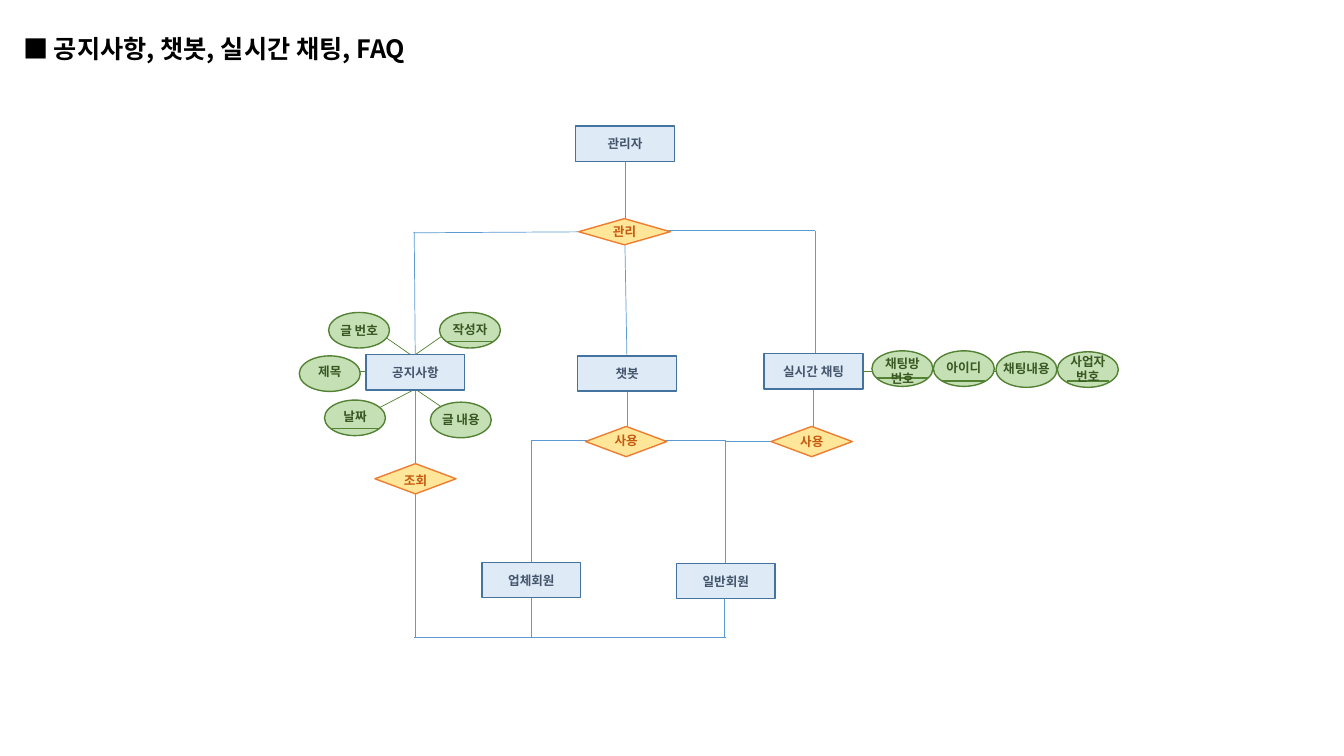
from dataclasses import dataclass

from lxml import etree
from pptx import Presentation
from pptx.dml.color import RGBColor
from pptx.enum.shapes import MSO_CONNECTOR, MSO_SHAPE
from pptx.enum.text import MSO_ANCHOR, PP_ALIGN
from pptx.oxml.ns import qn
from pptx.util import Pt

RECTANGLE, ELLIPSE, DIAMOND = MSO_SHAPE.RECTANGLE, MSO_SHAPE.OVAL, MSO_SHAPE.DIAMOND
STRAIGHT = MSO_CONNECTOR.STRAIGHT
MIDDLE = MSO_ANCHOR.MIDDLE
LEFT, CENTER = PP_ALIGN.LEFT, PP_ALIGN.CENTER
FONT = "Noto Sans CJK KR"
BLUE, GREEN = "5B9BD5", "548235"


@dataclass(frozen=True)
class Style:
    fill: str
    outline: str
    ink: str


ENTITY = Style("DEEBF7", "43739E", "44546A")
ATTRIBUTE = Style("C5E0B4", GREEN, "385723")
RELATION = Style("FFE699", "ED7D31", "C55A11")


@dataclass(frozen=True)
class Entity:
    text: str
    left: float
    top: float
    width: float = 70.6
    height: float = 25.2


@dataclass(frozen=True)
class Attribute:
    text: str
    left: float
    top: float
    label_shift: float = 0
    label_width: float = 58.3
    rule_width: float = 0
    rule_drop: float = 0
    width: float = 43.5
    height: float = 25.4


@dataclass(frozen=True)
class Relation:
    text: str
    left: float
    top: float
    label_shift: float = 0
    label_width: float = 32.4
    width: float = 58
    height: float = 21.6


@dataclass(frozen=True)
class Line:
    x1: float
    y1: float
    x2: float
    y2: float
    color: str = BLUE


ENTITIES = [
    Entity("관리자", 411.1, 90),
    Entity("공지사항", 261.4, 253.4),
    Entity("챗봇", 412.6, 254.2),
    Entity("실시간 채팅", 545.8, 252.7),
    Entity("업체회원", 344.2, 401.8),
    Entity("일반회원", 483.1, 402.5),
]
ATTRIBUTES = [
    Attribute("글 번호", 234.7, 223.2),
    Attribute("제목", 213.8, 254.2, -1.4),
    Attribute("글 내용", 307.4, 287.3, -0.7),
    Attribute("날짜", 231.8, 285.8, -1.4, rule_width=33, rule_drop=20.2),
    Attribute("작성자", 313.9, 223.2, -0.7, rule_width=33, rule_drop=20.9),
    Attribute("채팅방\n번호", 622.8, 250.6, 1.8, rule_width=36.7, rule_drop=19.4),
    Attribute("아이디", 666.7, 250.6, -0.7, rule_width=31, rule_drop=21.6),
    Attribute("채팅내용", 711.4, 251.3, -0.7, 90.7),
    Attribute("사업자\n번호", 755.3, 251.3, -0.4, 90.7, 30.2, 20.9),
]
RELATIONS = [
    Relation("관리", 413.3, 156.2, width=65.5, height=18.7),
    Relation("조회", 267.8, 331.2, 1.1),
    Relation("사용", 418.3, 304.6, -1.1),
    Relation("사용", 550.8, 304.6, -0.4),
]
LINES = [
    # Attributes to their entities
    Line(615.6, 265, 771.8, 265, GREEN),
    Line(296.6, 253.4, 316.1, 239.8, GREEN),
    Line(296.6, 277.9, 324, 296.6, GREEN),
    Line(257.8, 298.1, 296.6, 277.9, GREEN),
    Line(236.9, 265.7, 287.3, 265, GREEN),
    Line(268.6, 236.2, 294.5, 254.2, GREEN),
    # Administrator branch
    Line(446.4, 156.2, 446.4, 115.2),
    Line(582.5, 164.9, 455, 164.9),
    Line(582.5, 164.9, 582.5, 253.4),
    Line(295.9, 165.6, 296.6, 253.4),
    Line(295.2, 166.3, 413.3, 165.6),
    Line(447.8, 254.2, 446.4, 175),
    # Chatbot and live chat use
    Line(380.2, 314.6, 429.8, 314.6),
    Line(447.8, 279.4, 447.8, 319.7),
    Line(447.1, 314.6, 517.7, 314.6),
    Line(517.7, 315.4, 571.7, 315.4),
    Line(581, 277.9, 581, 314.6),
    Line(379.4, 314.6, 379.4, 385.9),
    Line(379.4, 385.2, 379.4, 401.8),
    Line(518.4, 314.6, 518.4, 385.9),
    Line(518.4, 385.9, 518.4, 402.5),
    # Notice reading
    Line(296.6, 277.9, 296.6, 331.2),
    Line(296.6, 352.8, 296.6, 455),
    Line(295.9, 455, 380.2, 455),
    Line(378.7, 455, 518.4, 455),
    Line(379.4, 427, 379.4, 455),
    Line(517.7, 427, 517.7, 455),
]


def rgb(value: str) -> RGBColor:
    return RGBColor.from_string(value)


def write(shape, text: str, size: float, color: str, align=CENTER) -> None:
    frame = shape.text_frame
    frame.text = text
    frame.vertical_anchor = MIDDLE
    for para in frame.paragraphs:
        para.alignment = align
        for span in para.runs:
            span.font.name = FONT
            span.font.size = Pt(size)
            span.font.bold = True
            span.font.color.rgb = rgb(color)


def draw_shape(page, node, kind, style: Style):
    shape = page.shapes.add_shape(
        kind, Pt(node.left), Pt(node.top), Pt(node.width), Pt(node.height))
    shape.shadow.inherit = False
    shape.fill.solid()
    shape.fill.fore_color.rgb = rgb(style.fill)
    shape.line.color.rgb = rgb(style.outline)
    shape.line.width = Pt(1)
    return shape


def draw_line(page, line: Line, weight: float = 0.5) -> None:
    connector = page.shapes.add_connector(
        STRAIGHT, Pt(line.x1), Pt(line.y1), Pt(line.x2), Pt(line.y2))
    connector.line.color.rgb = rgb(line.color)
    connector.line.width = Pt(weight)
    etree.SubElement(connector._element.spPr, qn("a:effectLst"))


def draw_label(page, node: Attribute | Relation, ink: str, wrap: bool) -> None:
    """Centre a text box on the node, moved down by its label shift."""
    height = 18 + 10.8 * node.text.count("\n")
    left = node.left + (node.width - node.label_width) / 2
    top = node.top + (node.height - height) / 2 + node.label_shift
    box = page.shapes.add_textbox(Pt(left), Pt(top), Pt(node.label_width), Pt(height))
    box.text_frame.word_wrap = wrap
    write(box, node.text, 9, ink)


def draw_key_rule(page, node: Attribute) -> None:
    """Underline a key attribute inside its ellipse."""
    start = node.left + (node.width - node.rule_width) / 2
    y = node.top + node.rule_drop
    draw_line(page, Line(start, y, start + node.rule_width, y, GREEN), 1)


def main() -> None:
    deck = Presentation()
    deck.slide_width, deck.slide_height = Pt(960), Pt(540)
    page = deck.slides.add_slide(deck.slide_layouts[6])

    title = page.shapes.add_textbox(Pt(9.4), Pt(20.2), Pt(436.3), Pt(28.8))
    title.text_frame.word_wrap = True
    write(title, "■ 공지사항, 챗봇, 실시간 채팅, FAQ", 18, "000000", LEFT)

    for line in LINES:
        draw_line(page, line)
    for entity in ENTITIES:
        write(draw_shape(page, entity, RECTANGLE, ENTITY), entity.text, 9, ENTITY.ink)
    for relation in RELATIONS:
        draw_shape(page, relation, DIAMOND, RELATION)
        draw_label(page, relation, RELATION.ink, wrap=False)
    for attribute in ATTRIBUTES:
        draw_shape(page, attribute, ELLIPSE, ATTRIBUTE)
        if attribute.rule_width:
            draw_key_rule(page, attribute)
    for attribute in ATTRIBUTES:
        draw_label(page, attribute, ATTRIBUTE.ink, wrap=True)

    deck.save("out.pptx")


if __name__ == "__main__":
    main()
